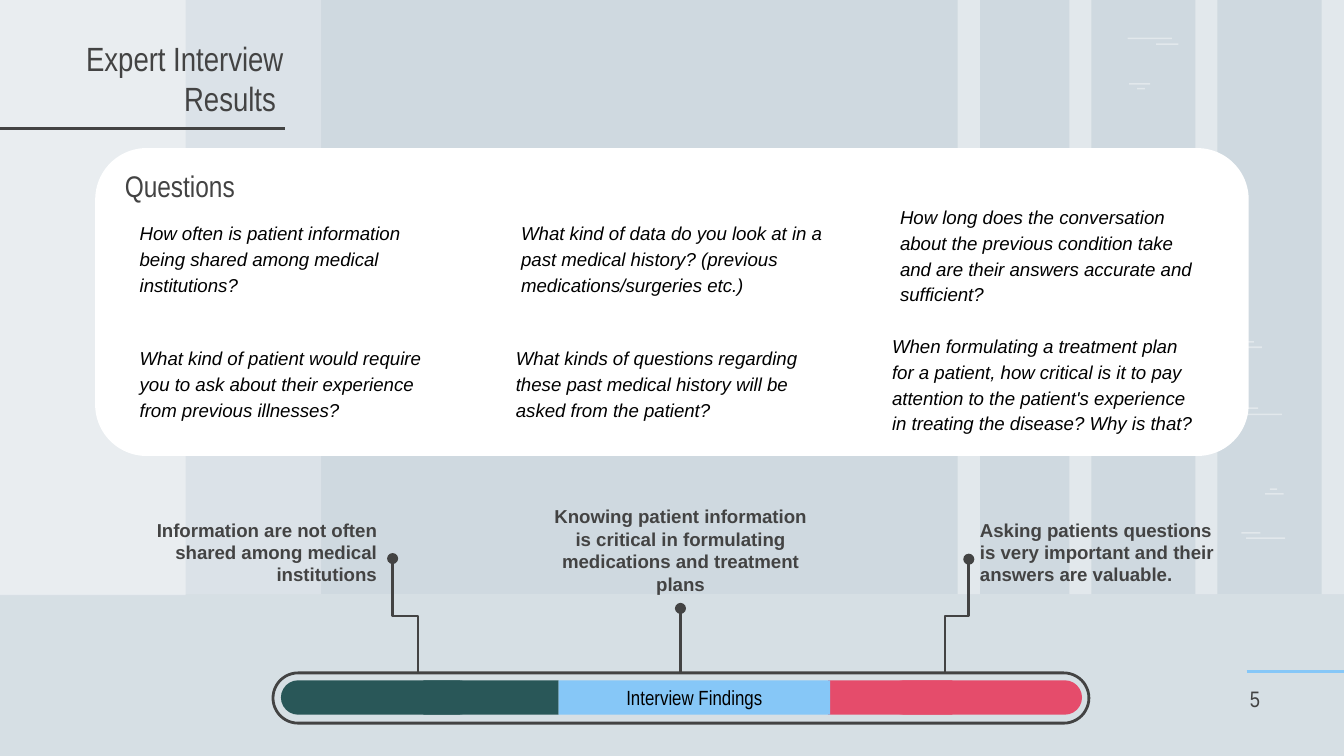
from dataclasses import dataclass
from typing import NamedTuple

from lxml import etree
from pptx import Presentation
from pptx.dml.color import RGBColor
from pptx.enum.shapes import MSO_CONNECTOR, MSO_SHAPE
from pptx.enum.text import MSO_ANCHOR, MSO_AUTO_SIZE, PP_ALIGN
from pptx.oxml.ns import qn
from pptx.util import Cm, Pt

RECT, ROUND = MSO_SHAPE.RECTANGLE, MSO_SHAPE.ROUNDED_RECTANGLE
LINE, ELBOW = MSO_CONNECTOR.STRAIGHT, MSO_CONNECTOR.ELBOW
LEFT, MID, RIGHT = PP_ALIGN.LEFT, PP_ALIGN.CENTER, PP_ALIGN.RIGHT
TOP, CENTER, BASE = MSO_ANCHOR.TOP, MSO_ANCHOR.MIDDLE, MSO_ANCHOR.BOTTOM
FIXED = MSO_AUTO_SIZE.NONE


@dataclass(frozen=True)
class Theme:
    back: str = "CFD9E0"
    white: str = "FFFFFF"
    ink: str = "434343"
    black: str = "000000"
    green: str = "295758"
    blue: str = "86C7F7"
    red: str = "E54C6B"
    sans: str = "Arial"
    slim: str = "Arial Narrow"
    title: int = 18
    head: int = 16
    page: int = 12
    label: int = 11
    body: int = 10
    stroke: float = 1.5


class Box(NamedTuple):
    x: float
    y: float
    w: float
    h: float


class Style(NamedTuple):
    font: str
    size: int
    color: str
    align: PP_ALIGN = LEFT
    anchor: MSO_ANCHOR = TOP
    bold: bool = False
    italic: bool = False
    lead: float = 1.0


class Note(NamedTuple):
    text: str
    box: Box
    align: PP_ALIGN = LEFT


class Link(NamedTuple):
    x1: float
    y1: float
    x2: float
    y2: float


T = Theme()
W, H, GROUND = 25.4, 14.29, 11.23

# Backdrop: panels, pillars and thin streaks
PILLARS = (18.1, 20.21, 22.59, 24.98)
STREAKS = (
    (21.31, 0.71, 0.84), (21.85, 0.82, 0.42), (21.34, 1.57, 0.4),
    (21.49, 1.66, 0.15), (23.55, 10.16, 0.74), (23.46, 10.06, 0.36),
    (23.51, 7.82, 0.72), (23.43, 7.7, 0.35), (23.91, 9.32, 0.35),
    (24, 9.23, 0.14), (23.48, 6.55, 0.37), (23.58, 6.45, 0.12),
)
VEILS = [
    (Box(0, 0, 3.51, 11.25), 40),
    *((Box(x, 0, 0.42, GROUND), 40) for x in PILLARS),
    *((Box(*s, 0.03), 40) for s in STREAKS),
    (Box(0, 0, 6.07, GROUND), 26),
    (Box(0, GROUND, W, H - GROUND), 16),
]

QUESTIONS = (
    Note("How often is patient information being shared among medical institutions?",
         Box(2.39, 3.89, 5.94, 1.83)),
    Note("What kind of patient would require you to ask about their experience "
         "from previous illnesses?", Box(2.39, 6.25, 6.3, 1.83)),
    Note("What kind of data do you look at in a past medical history? "
         "(previous medications/surgeries etc.)", Box(9.6, 3.89, 6.3, 1.83)),
    Note("What kinds of questions regarding these past medical history will be "
         "asked from the patient?", Box(9.5, 6.25, 6.3, 1.83)),
    Note("How long does the conversation about the previous condition take and "
         "are their answers accurate and sufficient?", Box(16.76, 3.58, 6.3, 1.83)),
    Note("When formulating a treatment plan for a patient, how critical is it to "
         "pay attention to the patient's experience in treating the disease? "
         "Why is that?", Box(16.61, 6.02, 6.3, 1.83)),
)
FINDINGS = (
    Note("Information are not often shared among medical institutions",
         Box(2.24, 9.55, 5.13, 1.83), RIGHT),
    Note("Knowing patient information is critical in formulating medications "
         "and treatment plans", Box(10.08, 9.3, 5.56, 2.31), MID),
    Note("Asking patients questions is very important and their answers are "
         "valuable.", Box(18.27, 9.55, 5.23, 1.83)),
)
LINKS = (
    Link(7.9, 12.73, 7.42, 10.56),
    Link(12.86, 12.72, 12.86, 11.5),
    Link(17.86, 12.72, 18.31, 10.57),
)

# Bar parts: round caps first, square parts over their inner ends
BAR_Y, BAR_H = 12.86, 0.65
PARTS = (
    (ROUND, 5.31, 8.99, T.green), (RECT, 8, 10.56, T.green),
    (ROUND, 16.76, 20.45, T.red), (RECT, 15.65, 18, T.red),
    (RECT, 10.56, 15.69, T.blue),
)


def rgb(code: str) -> RGBColor:
    return RGBColor.from_string(code)


def place(shape, box: Box) -> None:
    for name, size in zip(("left", "top", "width", "height"), box):
        setattr(shape, name, Cm(size))


def block(slide, kind, box: Box, fill="", line="", round=0.5, alpha=100):
    shape = slide.shapes.add_shape(kind, *map(Cm, box))
    shape.shadow.inherit = False
    if kind == ROUND:
        shape.adjustments[0] = round
    if fill:
        shape.fill.solid()
        shape.fill.fore_color.rgb = rgb(fill)
        if alpha < 100:
            tone = shape.fill._xPr.find(".//" + qn("a:srgbClr"))
            etree.SubElement(tone, qn("a:alpha"), val=str(alpha * 1000))
    else:
        shape.fill.background()
    if line:
        shape.line.color.rgb = rgb(line)
        shape.line.width = Pt(T.stroke)
    else:
        shape.line.fill.background()
    return shape


def write(shape, text: str, style: Style) -> None:
    frame = shape.text_frame
    frame.text = text
    para = frame.paragraphs[0]
    pad = Cm(0.25)
    forms = (
        (frame, dict(word_wrap=True, auto_size=FIXED, vertical_anchor=style.anchor,
                     margin_left=pad, margin_right=pad, margin_top=pad,
                     margin_bottom=pad)),
        (para, dict(alignment=style.align, line_spacing=style.lead,
                    space_before=Pt(0), space_after=Pt(0))),
        (para.runs[0].font, dict(name=style.font, size=Pt(style.size),
                                 bold=style.bold, italic=style.italic)),
    )
    for item, form in forms:
        for name, value in form.items():
            setattr(item, name, value)
    para.runs[0].font.color.rgb = rgb(style.color)


def fill_in(slide, holder, note: Note, style: Style) -> None:
    """Move a placeholder to the front, clear its bullet and write in it."""
    slide.shapes._spTree.append(holder._element)
    place(holder, note.box)
    write(holder, note.text, style)
    props = holder.text_frame.paragraphs[0]._p.get_or_add_pPr()
    props.set("marL", "0")
    props.set("indent", "0")
    etree.SubElement(props, qn("a:buNone"))


def label(slide, note: Note, style: Style) -> None:
    write(slide.shapes.add_textbox(*map(Cm, note.box)), note.text, style)


def rule(slide, link: Link, color: str, kind=LINE, dot=False):
    wire = slide.shapes.add_connector(kind, *map(Cm, link))
    wire.line.color.rgb = rgb(color)
    wire.line.width = Pt(T.stroke)
    if dot:
        etree.SubElement(wire.line._get_or_add_ln(), qn("a:tailEnd"), type="oval")
    etree.SubElement(wire._element.spPr, qn("a:effectLst"))
    return wire


def stem(slide, link: Link) -> None:
    """Draw a dotted stem upward; a sideways step is an elbow turned by 270°."""
    x1, y1, x2, y2 = link
    if x1 == x2:
        rule(slide, link, T.ink, dot=True)
        return
    mid_x, mid_y = (x1 + x2) / 2, (y1 + y2) / 2
    long, step = (y1 - y2) / 2, (x2 - x1) / 2
    flat = Link(mid_x - long, mid_y - step, mid_x + long, mid_y + step)
    wire = rule(slide, flat, T.ink, ELBOW, True)
    wire._element.spPr.find(qn("a:xfrm")).set("rot", str(270 * 60000))


def main() -> None:
    deck = Presentation()
    deck.slide_width, deck.slide_height = Cm(W), Cm(H)
    slide = deck.slides.add_slide(deck.slide_layouts[4])
    title, head, *bodies = slide.placeholders
    slide.background.fill.solid()
    slide.background.fill.fore_color.rgb = rgb(T.back)

    # Backdrop and rules
    for box, alpha in VEILS:
        block(slide, RECT, box, T.white, alpha=alpha)
    rule(slide, Link(23.56, 12.69, W, 12.69), T.blue)
    rule(slide, Link(0, 2.43, 5.38, 2.43), T.ink)

    # Title and page number
    fill_in(slide, title, Note("Expert Interview Results ", Box(-0.05, 1.68, 5.66, 0.81)),
            Style(T.slim, T.title, T.ink, RIGHT, BASE))
    label(slide, Note("5", Box(23.37, 12.62, 0.89, 1.09)),
          Style(T.slim, T.page, T.ink, anchor=BASE))

    # Question card
    block(slide, ROUND, Box(1.8, 2.8, 21.8, 5.82), T.white, round=0.167)
    fill_in(slide, head, Note("Questions", Box(2.11, 3.28, 2.9, 0.81)),
            Style(T.slim, T.head, T.ink, anchor=BASE))
    for note in QUESTIONS:
        label(slide, note, Style(T.sans, T.body, T.black, italic=True, lead=1.15))

    # Findings with their stems
    for holder, note, link in zip(bodies, FINDINGS, LINKS):
        fill_in(slide, holder, note, Style(T.sans, T.body, T.ink, note.align, bold=True))
        stem(slide, link)

    # Findings bar
    block(slide, ROUND, Box(5.16, 12.72, 15.42, 0.95), line=T.ink)
    for kind, start, end, color in PARTS:
        part = block(slide, kind, Box(start, BAR_Y, end - start, BAR_H), color)
    write(part, "Interview Findings", Style(T.slim, T.label, T.black, MID, CENTER))

    deck.save("out.pptx")


if __name__ == "__main__":
    main()
